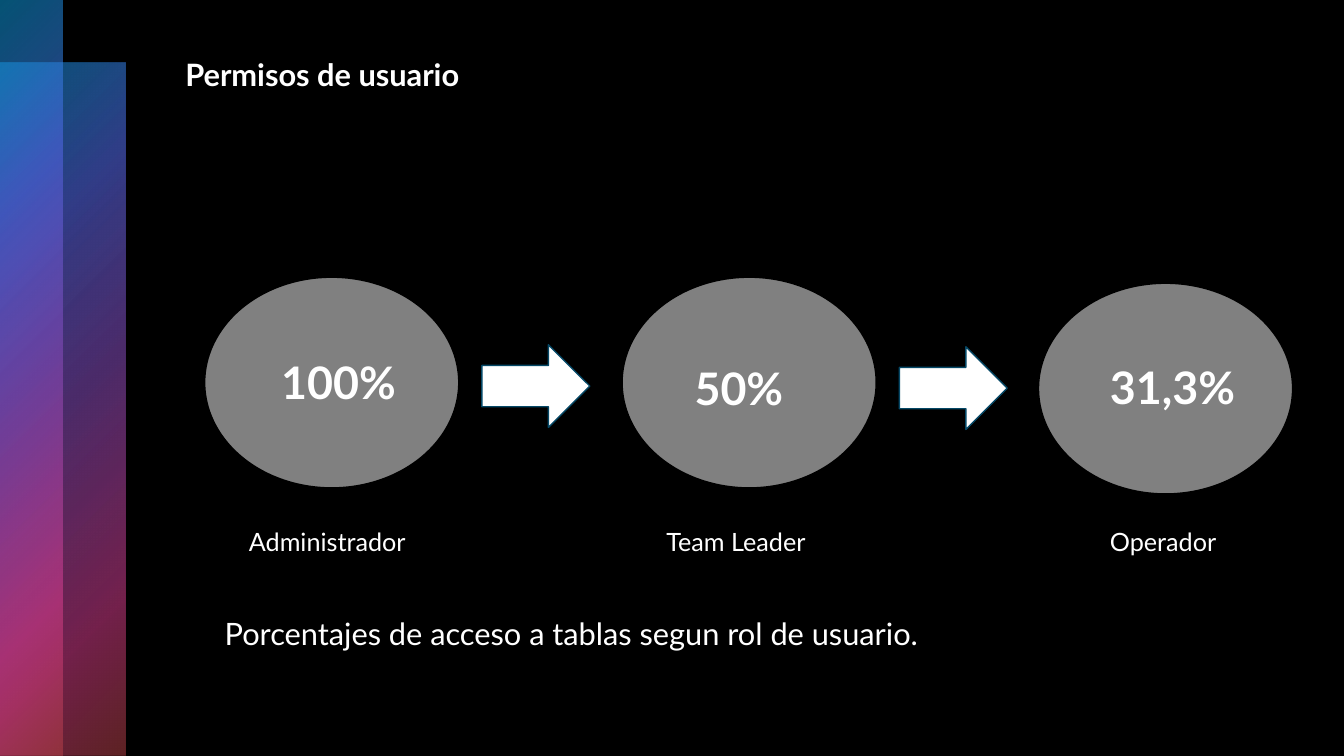
from pptx import Presentation
from pptx.dml.color import RGBColor
from pptx.enum.shapes import MSO_SHAPE
from pptx.oxml import parse_xml
from pptx.oxml.ns import nsdecls
from pptx.util import Emu, Pt

# Content: boxes are left, top, width, height in px
PX = 9144  # 100 px to the inch
SLIDE_SIZE = (1333, 750)
FONT = "Lato"
BLACK, WHITE, GRAY, TEAL = "000000", "FFFFFF", "808080", "054866"

BANDS = [(0, 62, 124, 688), (0, 0, 62, 750)]
# Position %, colour, opacity %
BAND_STOPS = [
    (0, "0BA5E8", 50),
    (25, "5066E1", 60),
    (50, "894EC0", 55),
    (81, "E54196", 50),
    (99, "BE4449", 50),
]

TITLE = ("Permisos de usuario", (174, 50, 1037, 170))
CAPTION = ("Porcentajes de acceso a tablas segun rol de usuario.", (213, 605, 1021, 47))
ROLES = [
    {"circle": (203, 275), "share": ("100%", (269, 347)), "name": ("Administrador", (237, 517))},
    {"circle": (617, 275), "share": ("50%", (679, 353)), "name": ("Team Leader", (651, 517))},
    {"circle": (1030, 281), "share": ("31,3%", (1091, 352)), "name": ("Operador", (1091, 517))},
]
ARROWS = [(478, 342), (892, 344)]
CIRCLE_SIZE, ARROW_SIZE = (252, 209), (107, 82)
SHARE_SIZE, NAME_SIZE = (186, 64), (185, 40)


def color(value):
    return RGBColor.from_string(value)


def emu(box):
    return [Emu(length * PX) for length in box]


def add_figure(kind, box, fill=None, line=None):
    shape = slide.shapes.add_shape(kind, *emu(box))
    shape.shadow.inherit = False
    if fill:
        shape.fill.solid()
        shape.fill.fore_color.rgb = color(fill)
    if line:
        shape.line.color.rgb = color(line)
        shape.line.width = Pt(1)
    else:
        shape.line.fill.background()
    return shape


def add_band(box):
    shape = add_figure(MSO_SHAPE.RECTANGLE, box)
    stops = "".join(
        f'<a:gs pos="{position * 1000}"><a:srgbClr val="{value}">'
        f'<a:alpha val="{opacity * 1000}"/></a:srgbClr></a:gs>'
        for position, value, opacity in BAND_STOPS
    )
    gradient = parse_xml(
        f'<a:gradFill {nsdecls("a")} rotWithShape="1"><a:gsLst>{stops}</a:gsLst>'
        '<a:path path="circle"><a:fillToRect r="100000" b="100000"/></a:path></a:gradFill>'
    )
    shape._element.spPr.prstGeom.addnext(gradient)


def add_text(text, box, size, bold=False):
    frame = slide.shapes.add_textbox(*emu(box)).text_frame
    frame.word_wrap = True
    run = frame.paragraphs[0].add_run()
    run.text = text
    for name, value in {"name": FONT, "size": Pt(size), "bold": bold}.items():
        setattr(run.font, name, value)
    run.font.color.rgb = color(WHITE)


presentation = Presentation()
presentation.slide_width, presentation.slide_height = emu(SLIDE_SIZE)
slide = presentation.slides.add_slide(presentation.slide_layouts[6])
slide.background.fill.solid()
slide.background.fill.fore_color.rgb = color(BLACK)

# Gradient bands and title
for band in BANDS:
    add_band(band)
add_text(*TITLE, size=22, bold=True)

# Circles joined by arrows
for role in ROLES:
    add_figure(MSO_SHAPE.OVAL, role["circle"] + CIRCLE_SIZE, GRAY, BLACK)
for arrow in ARROWS:
    add_figure(MSO_SHAPE.RIGHT_ARROW, arrow + ARROW_SIZE, WHITE, TEAL)

# Role names, shares and caption
for role in ROLES:
    name, name_corner = role["name"]
    share, share_corner = role["share"]
    add_text(name, name_corner + NAME_SIZE, 18)
    add_text(share, share_corner + SHARE_SIZE, 32, bold=True)
add_text(*CAPTION, size=22)

presentation.save("out.pptx")
